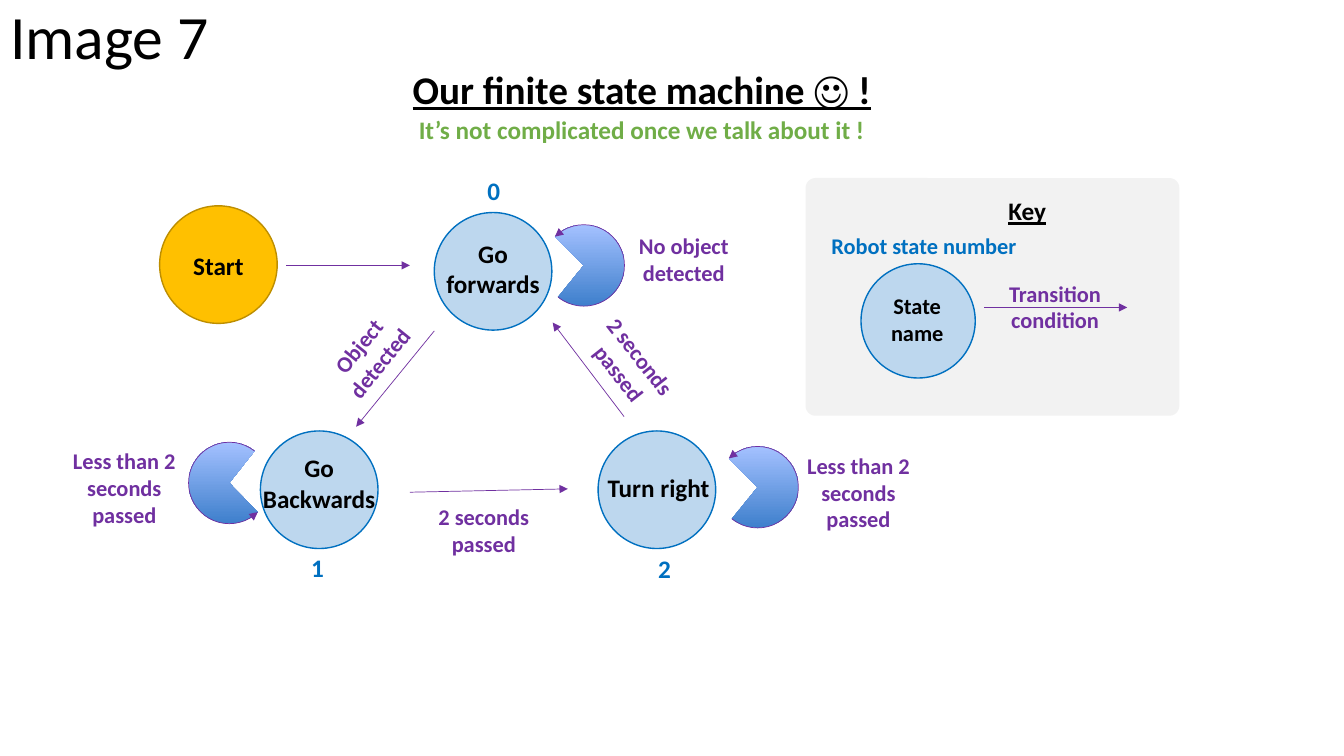
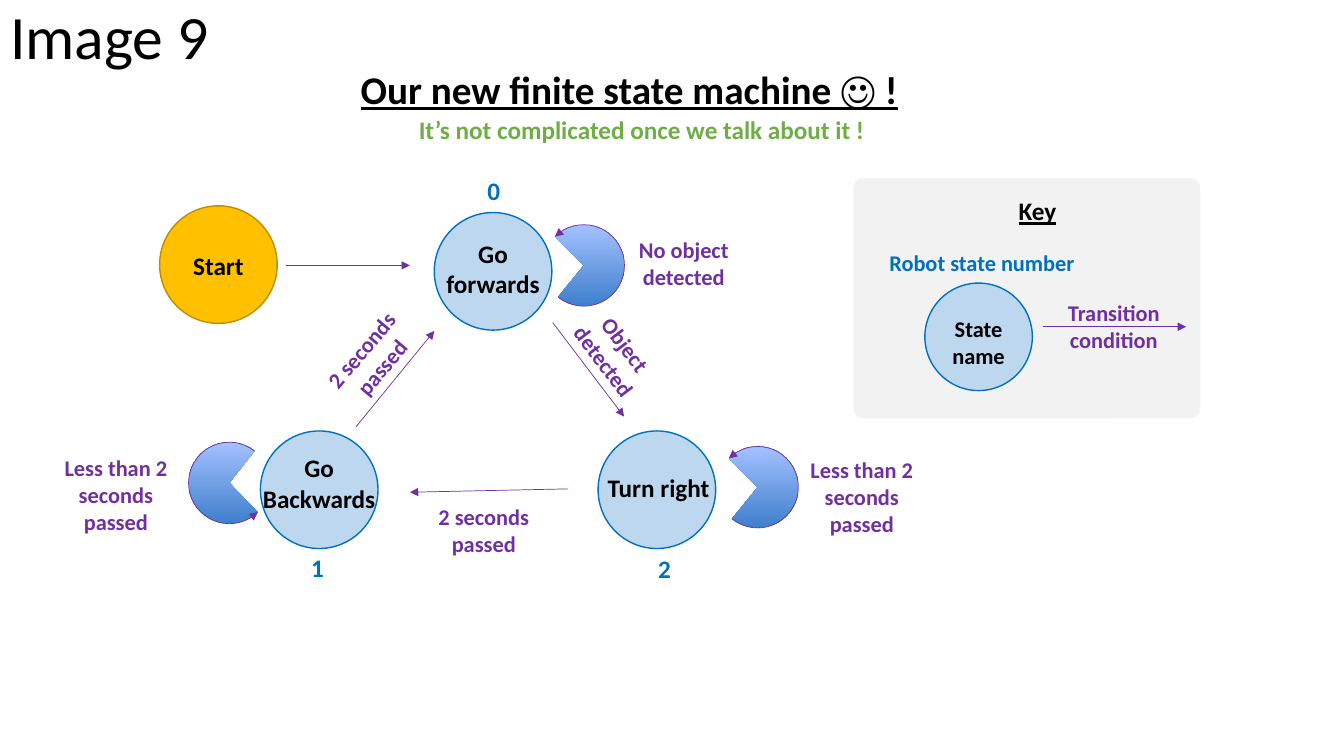
from lxml import etree
from pptx import Presentation
from pptx.dml.color import RGBColor
from pptx.enum.shapes import MSO_CONNECTOR, MSO_SHAPE
from pptx.enum.text import MSO_ANCHOR, MSO_AUTO_SIZE, PP_ALIGN
from pptx.oxml.ns import qn
from pptx.util import Inches, Pt

OVAL, ARC, PANEL = MSO_SHAPE.OVAL, MSO_SHAPE.ARC, MSO_SHAPE.ROUNDED_RECTANGLE
STRAIGHT = MSO_CONNECTOR.STRAIGHT
CENTER, LEFT, MIDDLE = PP_ALIGN.CENTER, PP_ALIGN.LEFT, MSO_ANCHOR.MIDDLE
GROW = MSO_AUTO_SIZE.SHAPE_TO_FIT_TEXT

FONT = "Calibri"
BLACK, PURPLE, BLUE, GREEN = "000000", "7030A0", "0070C0", "70AD47"
PALE_BLUE, GOLD, DARK_GOLD, GREY = "BDD7EE", "FFC000", "BD8E00", "F2F2F2"
rgb = RGBColor.from_string

prs = Presentation()
prs.slide_width, prs.slide_height = Inches(40 / 3), Inches(7.5)
COL, ROW = prs.slide_width / 160, prs.slide_height / 90
STATE, LOOP, LABEL = 14, 9.7, 17.5


def paint(shape, fill=None, line=None, width=1, arrow=None):
    if fill:
        shape.fill.solid()
        shape.fill.fore_color.rgb = rgb(fill)
    if line:
        shape.line.color.rgb = rgb(line)
        shape.line.width = Pt(width)
    else:
        shape.line.fill.background()
    if arrow:
        etree.SubElement(shape.line._get_or_add_ln(), qn(f"a:{arrow}"), type="triangle")
    etree.SubElement(shape._element.spPr, qn("a:effectLst"))


def label(slide, text, x, y, lines=1, width=LABEL, size=16, color=PURPLE,
          turn=0, underline=False, wrap=True):
    height = 1.2 + 0.2 * size * lines
    box = slide.shapes.add_textbox(int((x - width / 2) * COL), int((y - height / 2) * ROW),
                                   int(width * COL), int(height * ROW))
    box.rotation = turn
    frame = box.text_frame
    frame.text = text
    frame.word_wrap = wrap
    frame.auto_size = GROW
    for paragraph in frame.paragraphs:
        paragraph.alignment = CENTER
        font = paragraph.font
        font.name, font.size, font.bold = FONT, Pt(size), True
        font.underline = underline
        font.color.rgb = rgb(color)


states = [
    (26, 31.5, GOLD, DARK_GOLD),
    (58.7, 32.3, PALE_BLUE, BLUE),
    (38, 58.3, PALE_BLUE, BLUE),
    (78.2, 58.3, PALE_BLUE, BLUE),
]
state_names = [
    ("Go forwards", 58.7, 32, 2),
    ("Go Backwards", 38, 57.5, 2),
    ("Turn right", 78.4, 58, 1),
]
state_numbers = [("0", 58.8, 22.7), ("1", 37.8, 67.6), ("2", 79.1, 67.7)]
loops = [
    (69.5, 31.6, 134.964, 77.554),
    (90.2, 58, 134.964, 77.554),
    (27.3, 57.5, 27.411, 184.865),
]
start_arrow = (34.1, 31.6, 48.8, 31.6)
cycle = [
    (51.7, 39.4, 42.4, 50.8),
    (48.8, 58.6, 67.6, 58.2),
    (74.3, 49.6, 65.8, 38.4),
]

machines = [
    {
        "title": "Image 7",
        "headline": ("Our finite state machine ☺ !", 76.4, 57.4),
        "arrows": cycle,
        "conditions": [
            ("Object detected", 43.9, 42.2, 2, 309),
            ("2 seconds passed", 75, 43.4, 2, 51.9),
            ("No object detected", 81.4, 30.8, 2, 0),
            ("Less than 2 seconds passed", 102.2, 58.6, 3, 0),
            ("Less than 2 seconds passed", 14.8, 58.1, 3, 0),
        ],
        "panel": (95.9, 44.5, 28.3),
        "key_title": 122.3,
        "key_state": (109.3, 38.2, 13.6),
        "key_name": (109.2, 38),
        "key_number": (110, 29.2),
        "key_arrow": (117.2, 36.6),
    },
    {
        "title": "Image 9",
        "headline": ("Our new finite state machine ☺ !", 74.9, 66.8),
        "arrows": [(x2, y2, x1, y1) for x1, y1, x2, y2 in cycle],
        "conditions": [
            ("Object detected", 73.2, 42, 2, 52.6),
            ("2 seconds passed", 44.2, 42.7, 2, 310.3),
            ("No object detected", 81.4, 31.3, 2, 0),
            ("Less than 2 seconds passed", 102.6, 59.1, 3, 0),
            ("Less than 2 seconds passed", 13.8, 58.9, 3, 0),
        ],
        "panel": (101.6, 41.3, 28.6),
        "key_title": 123.5,
        "key_state": (116.5, 40.1, 12.8),
        "key_name": (116.5, 40.7),
        "key_number": (116.9, 31.3),
        "key_arrow": (124.2, 38.9),
    },
]

for machine in machines:
    slide = prs.slides.add_slide(prs.slide_layouts[5])

    title = slide.shapes.title
    title.left, title.top = 0, 0
    title.width, title.height = int(27.4 * COL), int(9.5 * ROW)
    title.text_frame.text = machine["title"]
    title.text_frame.vertical_anchor = MIDDLE
    heading = title.text_frame.paragraphs[0]
    heading.alignment, heading.line_spacing = LEFT, 0.9
    heading.font.name, heading.font.size = FONT, Pt(44)
    heading.font.color.rgb = rgb(BLACK)

    panel_x, panel_width, panel_height = machine["panel"]
    panel = slide.shapes.add_shape(PANEL, int(panel_x * COL), int(21.2 * ROW),
                                   int(panel_width * COL), int(panel_height * ROW))
    panel.adjustments[0] = 0.042
    paint(panel, GREY)

    key_x, key_y, key_size = machine["key_state"]
    circles = [(x, y, STATE, fill, line) for x, y, fill, line in states]
    circles.append((key_x, key_y, key_size, PALE_BLUE, BLUE))
    for x, y, size, fill, line in circles:
        circle = slide.shapes.add_shape(OVAL, int((x - size / 2) * COL), int((y - size / 2) * ROW),
                                        int(size * COL), int(size * ROW))
        paint(circle, fill, line)

    for x, y, start, end in loops:
        loop = slide.shapes.add_shape(ARC, int((x - LOOP / 2) * COL), int((y - LOOP / 2) * ROW),
                                      int(LOOP * COL), int(LOOP * ROW))
        loop.adjustments[0], loop.adjustments[1] = start, end
        paint(loop, line=PURPLE, width=0.5, arrow="headEnd")

    arrow_x, arrow_y = machine["key_arrow"]
    key_arrow = (arrow_x, arrow_y, arrow_x + 17, arrow_y)
    for x1, y1, x2, y2 in [start_arrow, *machine["arrows"], key_arrow]:
        transition = slide.shapes.add_connector(STRAIGHT, int(x1 * COL), int(y1 * ROW),
                                                int(x2 * COL), int(y2 * ROW))
        paint(transition, line=PURPLE, width=0.5, arrow="tailEnd")

    label(slide, "Start", 26, 31.6, width=8.5, size=18, color=BLACK, wrap=False)
    for name, x, y, lines in state_names:
        label(slide, name, x, y, lines, size=18, color=BLACK)
    for number, x, y in state_numbers:
        label(slide, number, x, y, width=7, size=18, color=BLUE)
    for condition, x, y, lines, turn in machine["conditions"]:
        label(slide, condition, x, y, lines, turn=turn)
    label(slide, "2 seconds passed", 57.6, 63.1, 2)

    label(slide, "Key", machine["key_title"], 25.1, size=18, color=BLACK, underline=True)
    label(slide, "State\nname", *machine["key_name"], 2, color=BLACK)
    label(slide, "Robot state number", *machine["key_number"], width=25.9, color=BLUE)
    label(slide, "Transition condition", arrow_x + 8.4, arrow_y - 0.1, 2, width=23.9)

    headline, headline_x, headline_width = machine["headline"]
    label(slide, headline, headline_x, 10.6, width=headline_width, size=28,
          color=BLACK, underline=True, wrap=False)
    label(slide, "It’s not complicated once we talk about it !", 76.4, 15.4,
          width=55.9, size=18, color=GREEN, wrap=False)

prs.save("out.pptx")
